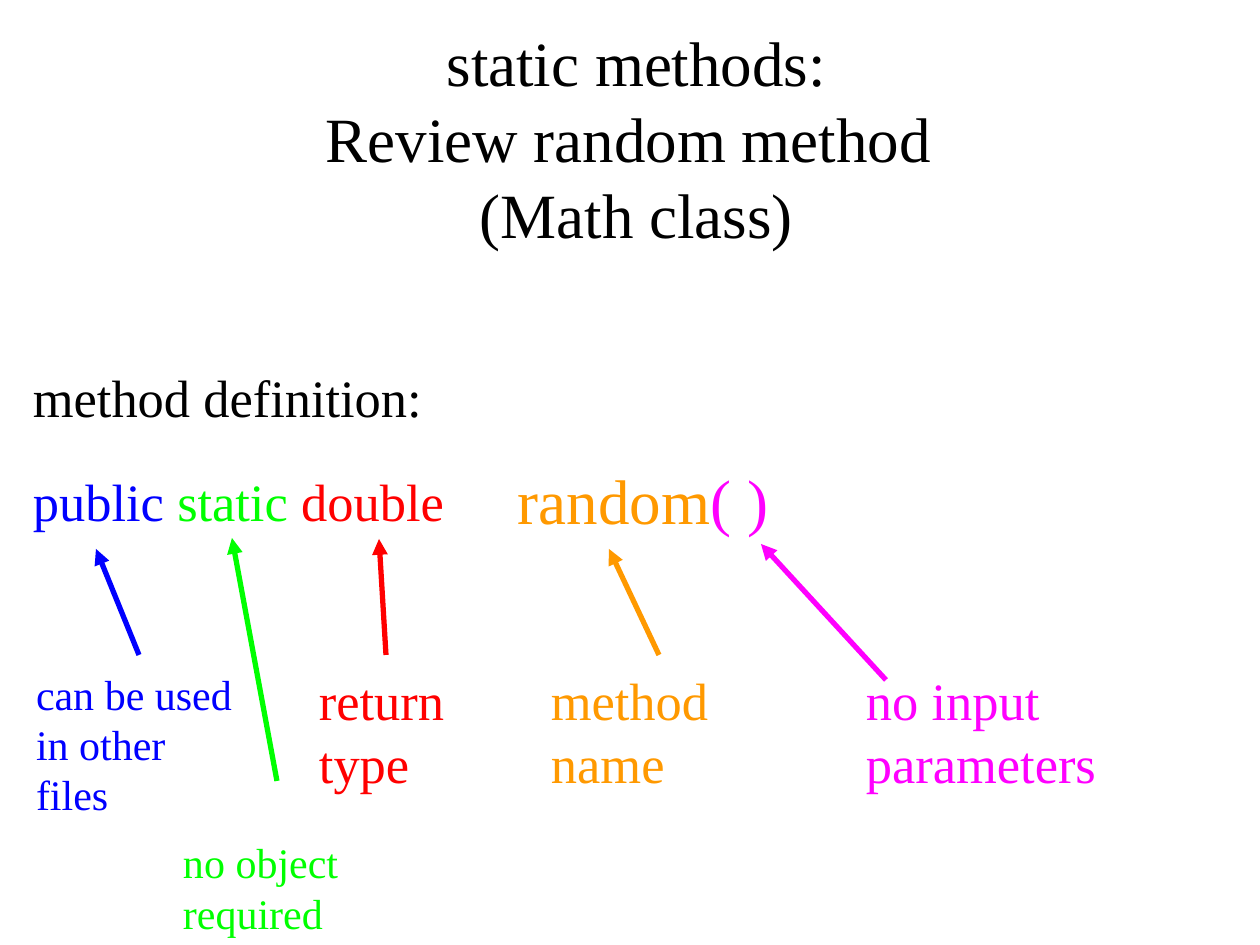
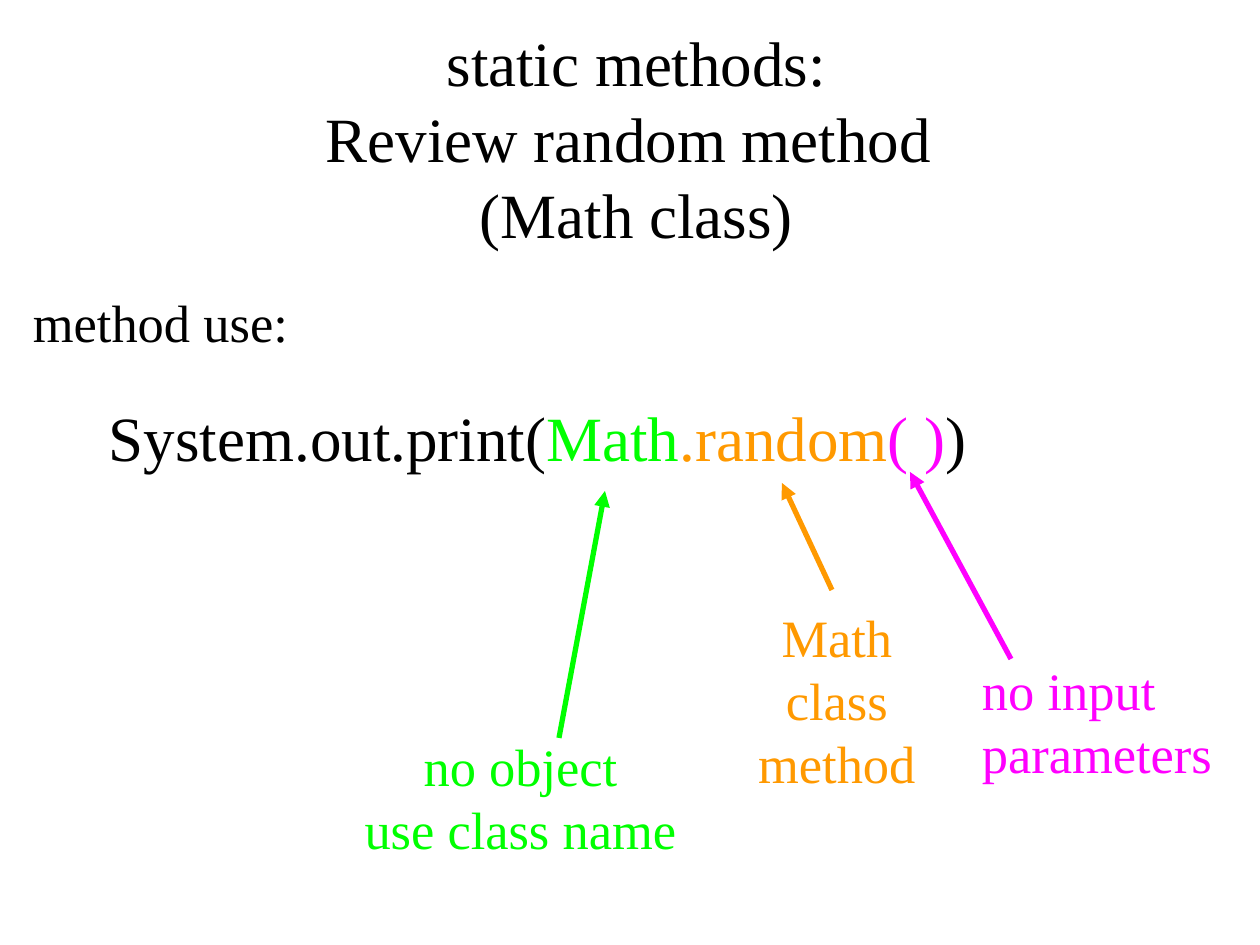
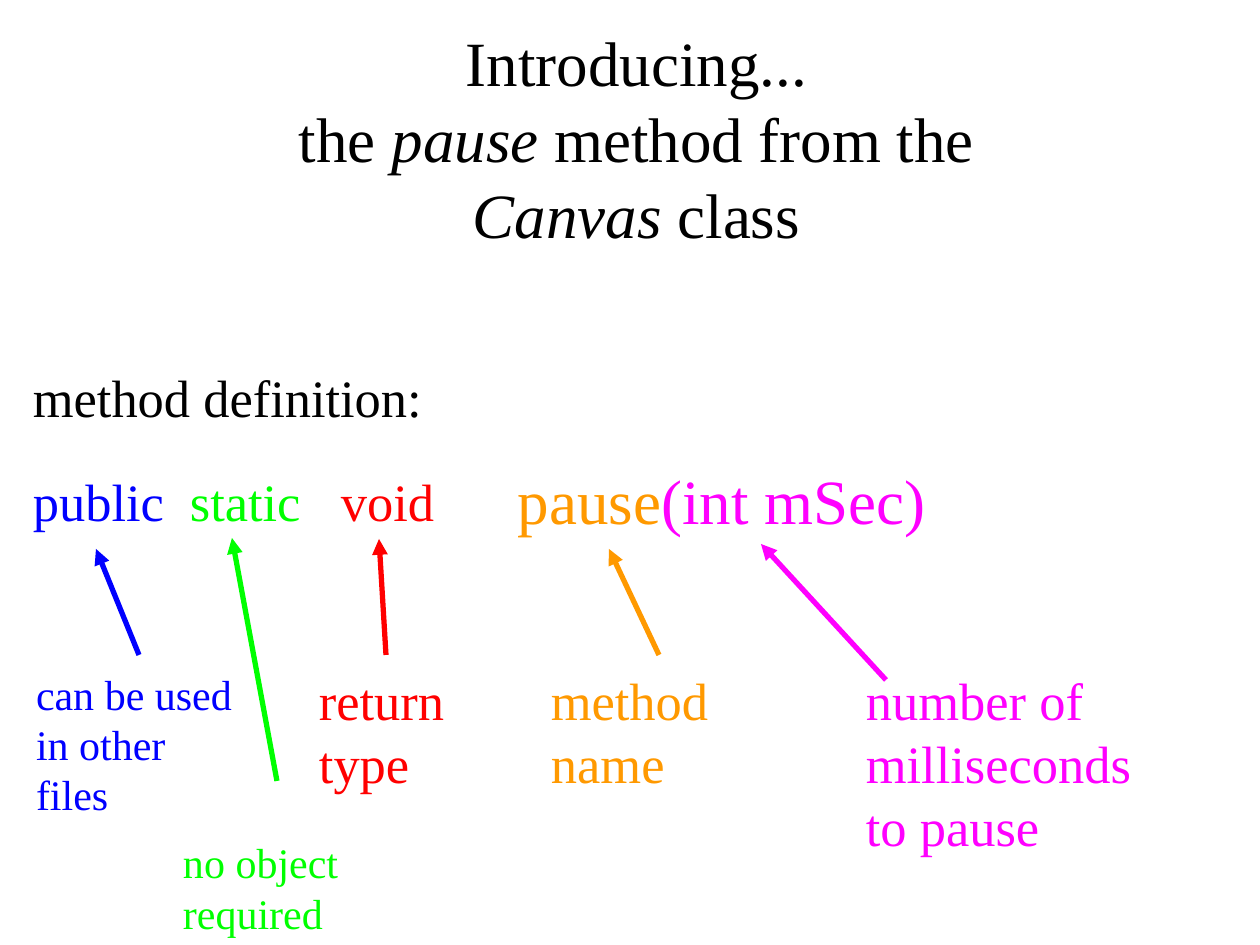
from lxml import etree
from pptx import Presentation
from pptx.dml.color import RGBColor
from pptx.enum.shapes import MSO_CONNECTOR
from pptx.enum.text import MSO_ANCHOR, PP_ALIGN
from pptx.oxml.ns import qn
from pptx.util import Pt

PX = 914400 // 126
BLACK = RGBColor(0x00, 0x00, 0x00)
BLUE = RGBColor(0x00, 0x00, 0xFF)
GREEN = RGBColor(0x00, 0xFF, 0x00)
RED = RGBColor(0xFF, 0x00, 0x00)
ORANGE = RGBColor(0xFF, 0x99, 0x00)
MAGENTA = RGBColor(0xFF, 0x00, 0xFF)

RANDOM_TITLE = ["static methods:", "Review random method ", "(Math class)"]


class Deck:
    font = "Times New Roman"
    title_size, code_size, body_size, small_size = 36, 36, 30, 24
    inset, tight_inset, indent = 13, 6, 63
    arrow_width = 3

    def __init__(self):
        self.presentation = Presentation()
        self.presentation.slide_width = 1260 * PX
        self.presentation.slide_height = 945 * PX
        self.slide = None

    def new_slide(self, title):
        self.slide = self.presentation.slides.add_slide(self.presentation.slide_layouts[6])
        self.text(title, 205, 18, 863, 126, size=self.title_size,
                  align=PP_ALIGN.CENTER, inset=self.tight_inset)

    def text(self, paragraphs, left, top, width, height, size=body_size, color=BLACK,
             align=PP_ALIGN.LEFT, inset=inset, indent=0, tabs=()):
        """Add a text box; a paragraph is a string or a list of (text, color, italic) runs."""
        box = self.slide.shapes.add_textbox(left * PX, top * PX, width * PX, height * PX)
        frame = box.text_frame
        frame.word_wrap = True
        frame.vertical_anchor = MSO_ANCHOR.TOP
        frame.margin_left = frame.margin_right = self.inset * PX
        frame.margin_top = frame.margin_bottom = inset * PX
        for index, runs in enumerate(paragraphs):
            paragraph = frame.add_paragraph() if index else frame.paragraphs[0]
            paragraph.alignment = align
            properties = paragraph._p.get_or_add_pPr()
            properties.set("marL", str(indent * PX))
            if tabs:
                tab_list = etree.SubElement(properties, qn("a:tabLst"))
                for position in tabs:
                    etree.SubElement(tab_list, qn("a:tab"), pos=str(position * PX), algn="l")
            if isinstance(runs, str):
                runs = [(runs, color, False)]
            for content, run_color, italic in runs:
                run = paragraph.add_run()
                run.text = content
                run.font.name = self.font
                run.font.size = Pt(size)
                run.font.italic = italic
                run.font.color.rgb = run_color

    def code(self, parts, left, top, width):
        """Add one large line of code from (text, color) parts."""
        self.text([[(content, color, False) for content, color in parts]],
                  left, top, width, 100, size=self.code_size,
                  inset=self.tight_inset, indent=self.indent)

    def heading(self, content, top):
        self.text([content], 20, top, 1012, 118)

    def arrow(self, start, end, color):
        connector = self.slide.shapes.add_connector(
            MSO_CONNECTOR.STRAIGHT, *(value * PX for value in start + end))
        connector.line.color.rgb = color
        connector.line.width = Pt(self.arrow_width)
        etree.SubElement(connector.line._get_or_add_ln(), qn("a:tailEnd"), type="triangle")
        etree.SubElement(connector._element.spPr, qn("a:effectLst"))

    def definition(self, modifiers, name, parameters, parameter_note, note_width, tabs=()):
        """Lay out a method definition with an arrow and a note for each part."""
        self.code([(name, ORANGE), (parameters, MAGENTA)], 442, 456, 539)
        colors = (BLUE, GREEN, RED)
        self.text([[(word, color, False) for word, color in zip(modifiers, colors)]],
                  20, 456, 490, 118, tabs=tabs)
        self.text(["return", "type"], 306, 655, 156, 118, color=RED)
        self.arrow((386, 655), (379, 539), RED)
        self.text(["can be used in other files"], 23, 655, 232, 118,
                  size=self.small_size, color=BLUE)
        self.arrow((139, 655), (96, 549), BLUE)
        self.text(["no object", "required"], 170, 824, 232, 118,
                  size=self.small_size, color=GREEN)
        self.arrow((277, 781), (232, 538), GREEN)
        self.text(["method", "name"], 538, 655, 242, 118, color=ORANGE)
        self.arrow((659, 655), (609, 549), ORANGE)
        self.text(parameter_note, 853, 655, note_width, 141, color=MAGENTA)
        self.arrow((886, 680), (761, 544), MAGENTA)
        self.heading("method definition:", 352)


def random_definition(deck):
    deck.new_slide(RANDOM_TITLE)
    deck.definition(["public ", "static ", "double"], "random", "( )",
                    ["no input", "parameters"], 287)


def random_use(deck):
    deck.new_slide(RANDOM_TITLE)
    deck.code([("System.out.print(", BLACK), ("Math", GREEN), (".random", ORANGE),
               ("( )", MAGENTA), (")", BLACK)], 33, 393, 1012)
    deck.text(["no object", "use class name"], 333, 721, 375, 118,
              color=GREEN, align=PP_ALIGN.CENTER)
    deck.arrow((559, 738), (605, 491), GREEN)
    deck.text(["Math class", "method"], 716, 592, 242, 118,
              color=ORANGE, align=PP_ALIGN.CENTER)
    deck.arrow((832, 590), (782, 483), ORANGE)
    deck.text(["no input", "parameters"], 969, 645, 287, 141, color=MAGENTA)
    deck.arrow((1011, 659), (910, 472), MAGENTA)
    deck.heading("method use:", 277)


def pause_definition(deck):
    deck.new_slide([
        "Introducing...",
        [("the ", BLACK, False), ("pause", BLACK, True), (" method from the", BLACK, False)],
        [("Canvas", BLACK, True), (" class", BLACK, False)],
    ])
    deck.definition(["public\t", "static\t", "void"], "pause", "(int mSec)",
                    ["number of", "milliseconds", "to pause"], 378, tabs=(157, 308))


def main():
    deck = Deck()
    random_definition(deck)
    random_use(deck)
    pause_definition(deck)
    deck.presentation.save("out.pptx")


if __name__ == "__main__":
    main()
